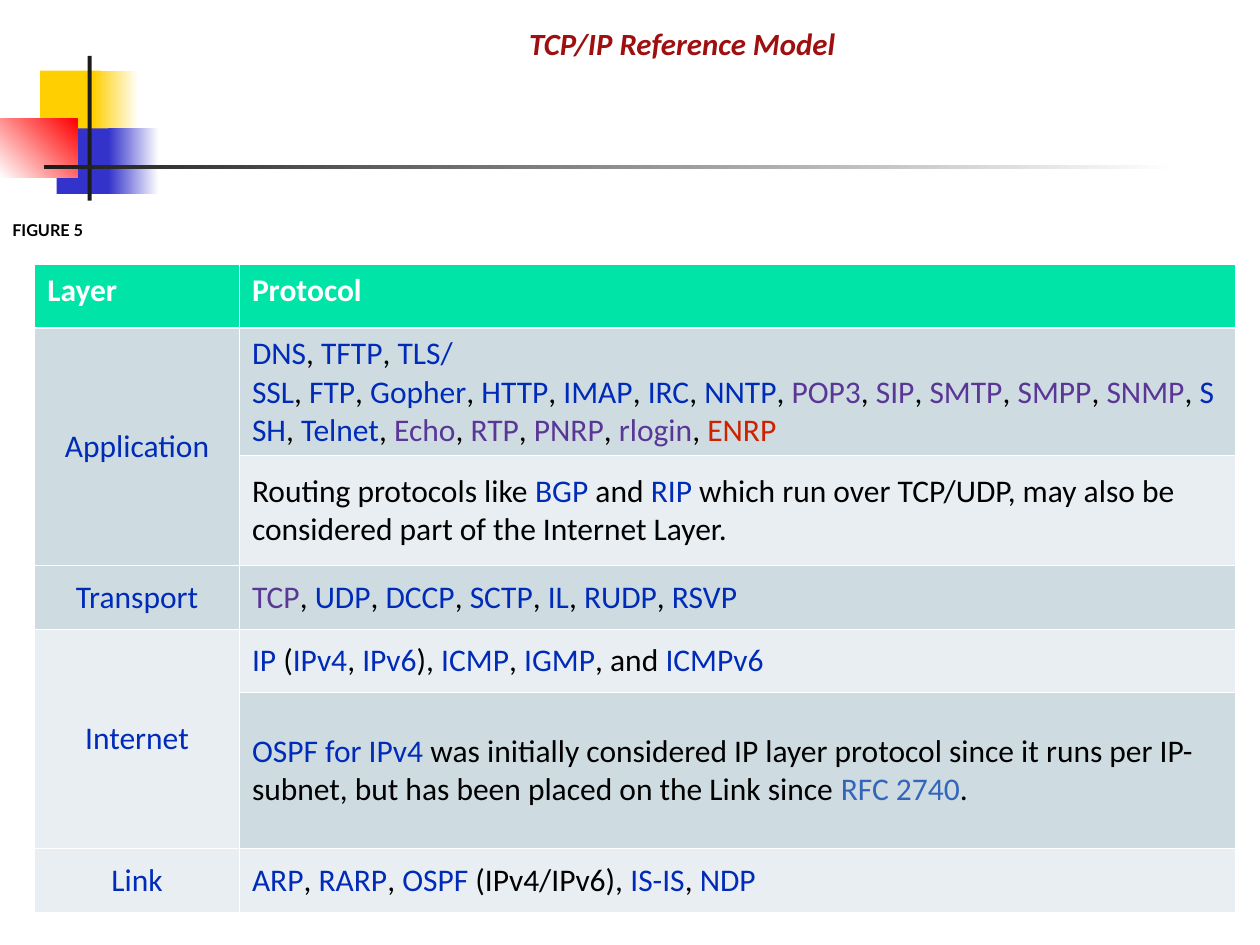
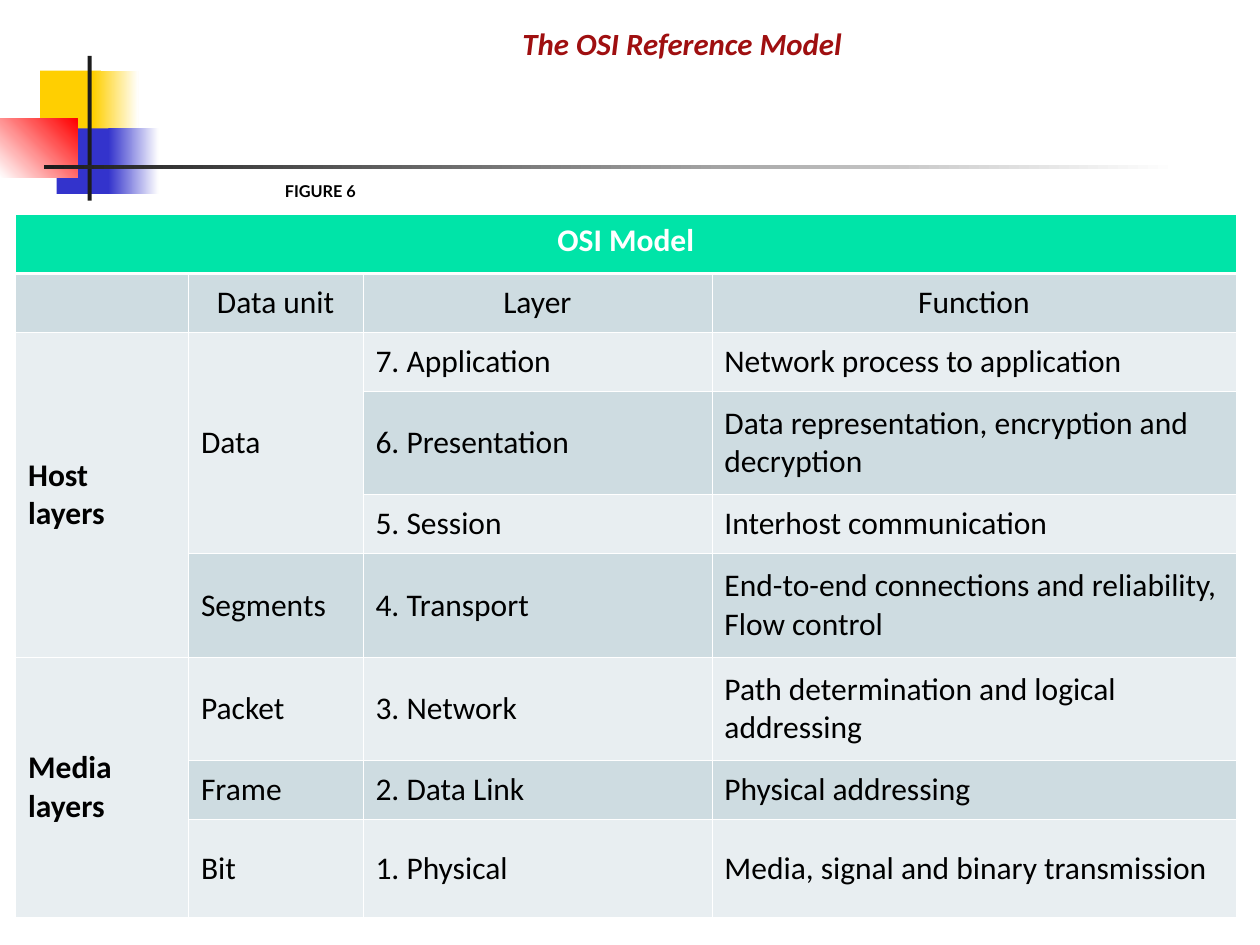
"""Two slides comparing the TCP/IP and OSI reference models as layer tables."""
import pptx
import pptx.dml.color
import pptx.enum.shapes
import pptx.enum.text
import pptx.oxml
import pptx.oxml.ns
import pptx.util

Pt = pptx.util.Pt
RGBColor = pptx.dml.color.RGBColor
Align = pptx.enum.text.PP_ALIGN
Anchor = pptx.enum.text.MSO_ANCHOR

WHITE = RGBColor(0xFF, 0xFF, 0xFF)
BLACK = RGBColor(0x00, 0x00, 0x00)
YELLOW = RGBColor(0xFF, 0xCF, 0x01)
INDIGO = RGBColor(0x33, 0x33, 0xCC)
RED = RGBColor(0xFF, 0x00, 0x00)
CHARCOAL = RGBColor(0x1C, 0x1C, 0x1C)
TITLE_RED = RGBColor(0x9F, 0x0F, 0x10)
HEADER_GREEN = RGBColor(0x00, 0xE4, 0xA8)
BAND_DARK = RGBColor(0xCE, 0xDC, 0xE1)
BAND_LIGHT = RGBColor(0xE8, 0xEE, 0xF1)
LINK = RGBColor(0x00, 0x2B, 0xB8)
VISITED = RGBColor(0x5A, 0x36, 0x96)
MISSING = RGBColor(0xCC, 0x22, 0x00)
EXTERNAL = RGBColor(0x33, 0x66, 0xBB)

BODY_FONT = "Calibri"
CAPTION_FONT = "Lato"
NBSP = chr(160)
COMMA = (f",{NBSP}", BLACK)
THIN, THICK = 0.45, 1.47

EMBLEM = [
    ((23, 40.3, 34.6, 37.4), [YELLOW], 0),
    ((53.3, 40.3, 25.9, 37.4), [YELLOW, WHITE], 0),
    ((32.4, 73.4, 33.1, 37.4), [INDIGO], 0),
    ((61.9, 73.4, 28.8, 37.4), [INDIGO, WHITE], 0),
    ((0, 67.9, 44.3, 33.5), [WHITE, RED], 45),
    ((50, 31.9, 2.4, 82.8), [CHARCOAL], 0),
    ((25.2, 94.3, 648, 2.4), [CHARCOAL, WHITE], 0),
]


def in_points(values):
    """Turn numbers into lengths in points."""
    return [Pt(value) for value in values]


def set_font(font, name, size, color=None, bold=False, italic=False):
    """Set the face, size, colour and weight of a font."""
    font.name, font.size, font.bold, font.italic = name, Pt(size), bold, italic
    if color is not None:
        font.color.rgb = color


def add_emblem(slide):
    """Draw the corner squares and rules and hand them to the slide's layout."""
    blocks = []
    for place, colors, angle in EMBLEM:
        block = slide.shapes.add_shape(
            pptx.enum.shapes.MSO_SHAPE.RECTANGLE, *in_points(place))
        block.shadow.inherit = False
        block.line.fill.background()
        if len(colors) == 1:
            block.fill.solid()
            block.fill.fore_color.rgb = colors[0]
        else:
            block.fill.gradient()
            block.fill.gradient_angle = angle
            for stop, color in zip(block.fill.gradient_stops, colors):
                stop.color.rgb = color
        blocks.append(block)
    for number, block in enumerate(blocks, start=20):
        block.element.nvSpPr.cNvPr.id = number
        slide.slide_layout.element.cSld.spTree.append(block.element)


def set_title(slide, text):
    """Place and format the slide title."""
    title = slide.shapes.title
    title.left, title.top, title.width, title.height = in_points((92.2, 14.4, 595.4, 30.2))
    frame = title.text_frame
    frame.auto_size = pptx.enum.text.MSO_AUTO_SIZE.NONE
    frame.vertical_anchor = Anchor.TOP
    paragraph = frame.paragraphs[0]
    paragraph.text = text
    paragraph.alignment = Align.CENTER
    paragraph.line_spacing = 0.8
    paragraph.space_before = Pt(0)
    set_font(paragraph.font, BODY_FONT, 17.6, TITLE_RED, bold=True, italic=True)


def add_caption(slide, left, top, text):
    """Add a figure caption."""
    frame = slide.shapes.add_textbox(*in_points((left, top, 167.8, 18))).text_frame
    frame.word_wrap = True
    paragraph = frame.paragraphs[0]
    paragraph.text = text
    set_font(paragraph.font, CAPTION_FONT, 9.3, BLACK, bold=True)


def add_borders(cell, row):
    """Draw white cell borders, thicker between the header and the body."""
    widths = {"L": THIN, "R": THIN,
              "T": THICK if row == 1 else THIN,
              "B": THICK if row == 0 else THIN}
    properties = cell._tc.get_or_add_tcPr()
    for side, width in widths.items():
        properties.append(pptx.oxml.parse_xml(
            f'<a:ln{side} {pptx.oxml.ns.nsdecls("a")} w="{int(Pt(width))}">'
            f'<a:solidFill><a:srgbClr val="{WHITE}"/></a:solidFill></a:ln{side}>'))


def fill_cell(cell, row, content, centered, bold):
    """Write text or (text, colour) runs into a cell and paint its band."""
    add_borders(cell, row)
    cell.fill.solid()
    band = BAND_DARK if row % 2 else BAND_LIGHT
    cell.fill.fore_color.rgb = band if row else HEADER_GREEN
    cell.vertical_anchor = Anchor.MIDDLE if row else Anchor.TOP
    paragraph = cell.text_frame.paragraphs[0]
    paragraph.alignment = Align.CENTER if centered else Align.LEFT
    if not content or isinstance(content, str):
        paragraph.text = content or ""
        color = BLACK if row else WHITE
    else:
        color = None
    set_font(paragraph.font, BODY_FONT, 18, color, bold=bold)
    if color is None:
        for text, run_color in content:
            run = paragraph.add_run()
            run.text = text
            run.font.color.rgb = run_color


def merge_spans(table, rows):
    """Merge each cell with the None entries below it or to its right."""
    for r, row in enumerate(rows):
        for c, content in enumerate(row):
            if content is None:
                continue
            last_row, last_col = r, c
            while last_row + 1 < len(rows) and rows[last_row + 1][c] is None:
                last_row += 1
            while last_col + 1 < len(row) and row[last_col + 1] is None:
                last_col += 1
            if (last_row, last_col) != (r, c):
                table.cell(r, c).merge(table.cell(last_row, last_col))


def add_layer_table(slide, left, top, widths, heights, rows, is_centered, is_bold):
    """Add a banded table; is_centered and is_bold take a row and a column."""
    table = slide.shapes.add_table(
        len(heights), len(widths),
        *in_points((left, top, sum(widths), sum(heights)))).table
    table.first_row = table.horz_banding = False
    for column, width in zip(table.columns, widths):
        column.width = Pt(width)
    for table_row, height in zip(table.rows, heights):
        table_row.height = Pt(height)
    for r, row in enumerate(rows):
        for c, content in enumerate(row):
            fill_cell(table.cell(r, c), r, content, is_centered(r, c), is_bold(r, c))
    merge_spans(table, rows)


def protocols(*groups):
    """Return comma-separated runs from (colour, names) groups."""
    runs = []
    for color, names in groups:
        for name in names.split():
            runs += [COMMA, (name, color)]
    return runs[1:]


def layer(name):
    """Return a linked layer name."""
    return [(name, LINK)]


def add_tcp_ip_table(slide):
    """Add the protocols of each TCP/IP layer."""
    rows = [
        ["Layer", "Protocol"],
        [layer("Application"), protocols(
            (LINK, "DNS TFTP TLS/SSL FTP Gopher HTTP IMAP IRC NNTP"),
            (VISITED, "POP3 SIP SMTP SMPP SNMP"),
            (LINK, "SSH Telnet"),
            (VISITED, "Echo RTP PNRP rlogin"),
            (MISSING, "ENRP"))],
        [None, [
            (f"Routing protocols like{NBSP}", BLACK), ("BGP", LINK),
            (f"{NBSP}and{NBSP}", BLACK), ("RIP", LINK),
            (f"{NBSP}which run over TCP/UDP, may also be considered part of "
             "the Internet Layer.", BLACK)]],
        [layer("Transport"), protocols(
            (VISITED, "TCP"), (LINK, "UDP DCCP SCTP IL RUDP RSVP"))],
        [layer("Internet"), [
            ("IP", LINK), (f"{NBSP}(", BLACK), *protocols((LINK, "IPv4 IPv6")),
            (f"),{NBSP}", BLACK), *protocols((LINK, "ICMP IGMP")),
            (f", and{NBSP}", BLACK), ("ICMPv6", LINK)]],
        [None, [
            ("OSPF for IPv4", LINK),
            (f"{NBSP}was initially considered IP layer protocol since it runs per "
             f"IP-subnet, but has been placed on the Link since{NBSP}", BLACK),
            ("RFC 2740", EXTERNAL), (".", BLACK)]],
        [layer("Link"), [
            *protocols((LINK, "ARP RARP OSPF")),
            (f"{NBSP}(IPv4/IPv6),{NBSP}", BLACK), *protocols((LINK, "IS-IS NDP"))]],
    ]
    add_layer_table(
        slide, 19.8, 151.3, [117, 569], [36.3, 72.8, 62.8, 36.3, 36.3, 89.1, 36.3], rows,
        is_centered=lambda r, c: r > 0 and c == 0,
        is_bold=lambda r, c: r == 0)


def add_osi_table(slide):
    """Add the data unit and function of each OSI layer."""
    layers = [
        ("Host\nlayers", "Data", "Application", "Network process to application"),
        (None, None, "Presentation", "Data representation, encryption and decryption"),
        (None, None, "Session", "Interhost communication"),
        (None, "Segments", "Transport",
         "End-to-end connections and reliability, Flow control"),
        ("Media\nlayers", "Packet", "Network", "Path determination and logical addressing"),
        (None, "Frame", "Data Link", "Physical addressing"),
        (None, "Bit", "Physical", "Media, signal and binary transmission"),
    ]
    rows = [["OSI Model", None, None, None], ["", "Data unit", "Layer", "Function"]]
    for index, (group, unit, name, function) in enumerate(layers):
        rows.append([group, unit, f"{len(layers) - index}.{NBSP}{name}", function])
    single, double = 33.6, 59.2
    heights = [single] * 3 + [double, single, double, double, single, 56.2]
    add_layer_table(
        slide, 8.9, 122.7, [98.8, 99.7, 199.4, 299.5], heights, rows,
        is_centered=lambda r, c: r < 2,
        is_bold=lambda r, c: r == 0 or c == 0)


def main():
    """Build both slides and save the presentation."""
    presentation = pptx.Presentation()
    presentation.slide_width, presentation.slide_height = Pt(720), Pt(540)
    title_only = presentation.slide_layouts[5]

    tcp_ip = presentation.slides.add_slide(title_only)
    add_emblem(tcp_ip)
    set_title(tcp_ip, "TCP/IP Reference Model")
    add_caption(tcp_ip, 0, 122.4, "FIGURE 5")
    add_tcp_ip_table(tcp_ip)

    osi = presentation.slides.add_slide(title_only)
    set_title(osi, "The OSI Reference Model")
    add_osi_table(osi)
    add_caption(osi, 155.8, 99.8, "FIGURE 6")

    presentation.save("out.pptx")


if __name__ == "__main__":
    main()
